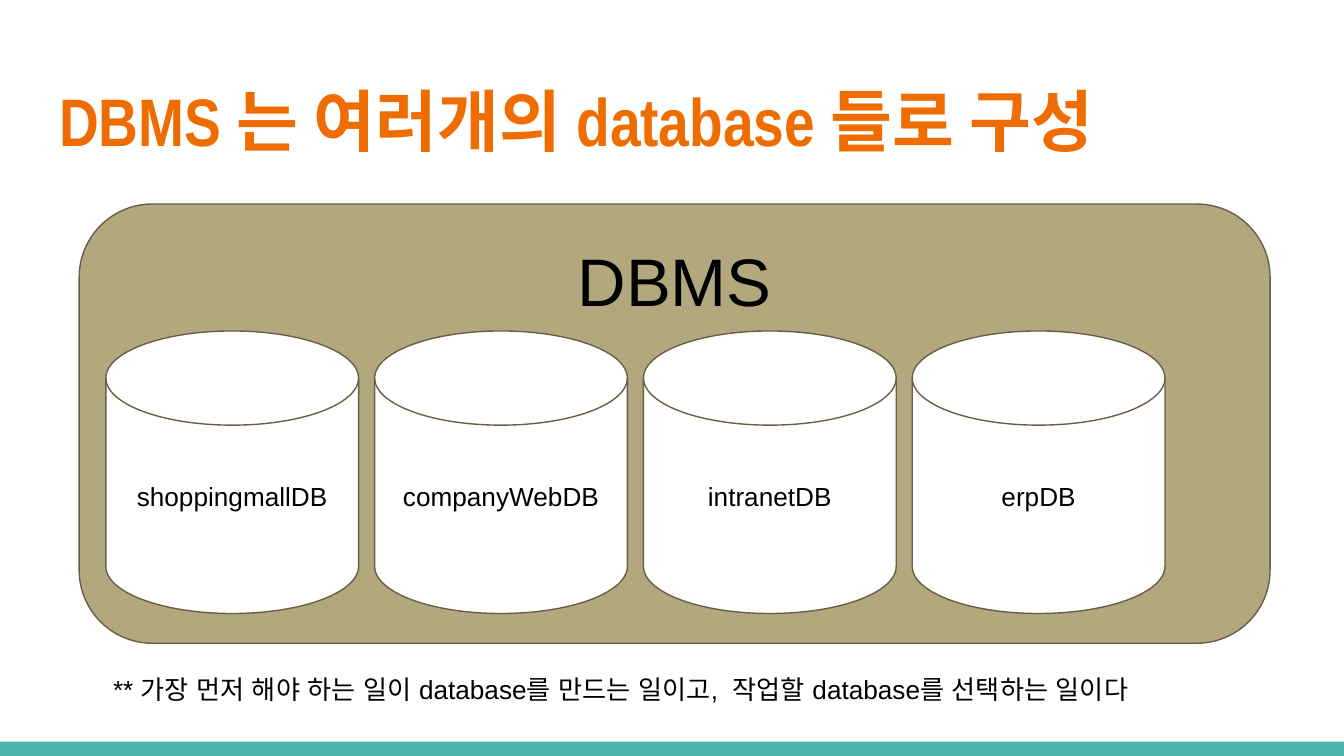
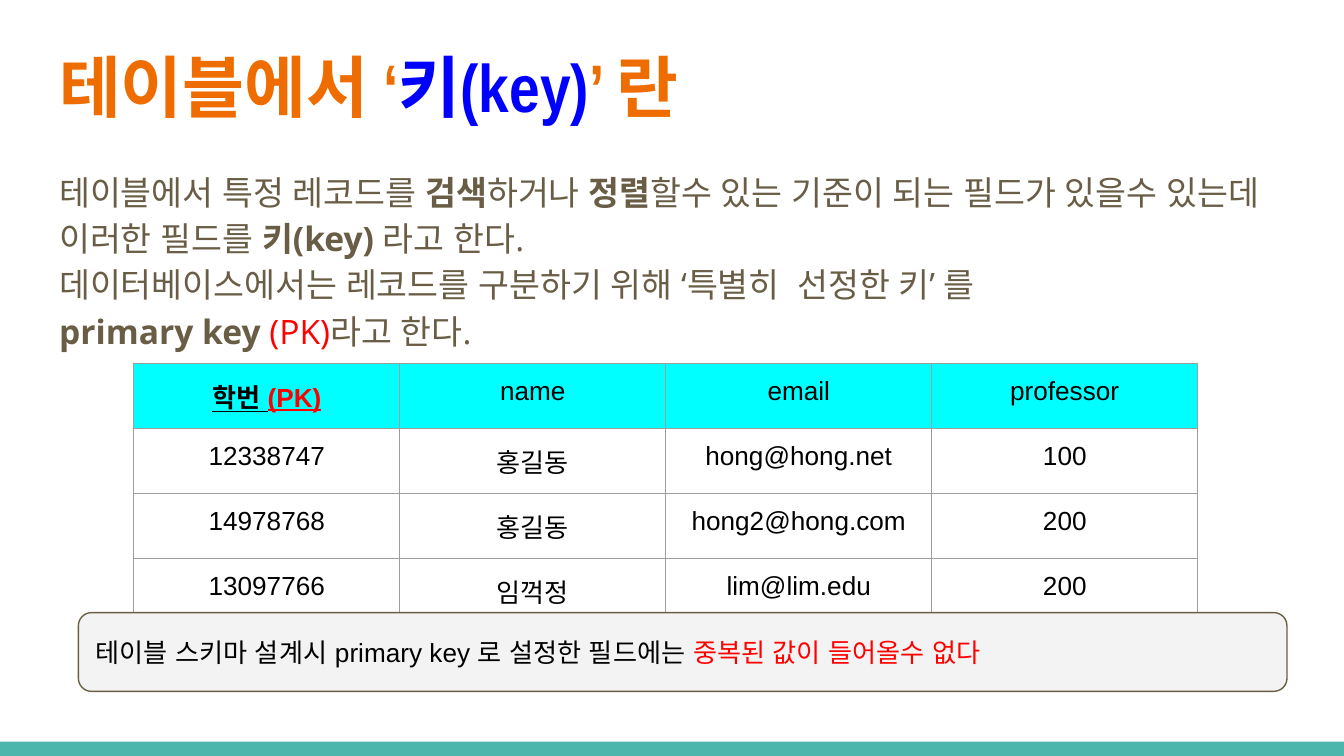
from lxml.etree import SubElement
from pptx import Presentation
from pptx.dml.color import RGBColor
from pptx.enum.shapes import MSO_SHAPE
from pptx.enum.text import MSO_ANCHOR, MSO_AUTO_SIZE, PP_ALIGN
from pptx.oxml.ns import qn
from pptx.util import Pt

# Shared look
ORANGE, BLUE, RED, BROWN = "EF6C00", "0000FF", "FF0000", "695D46"
BLACK, WHITE, TEAL, KHAKI = "000000", "FFFFFF", "4DB6AC", "B3A77D"
PALE, CYAN, GREY = "F3F3F3", "00FFFF", "9E9E9E"
SLIDE_W, SLIDE_H, BAND_H = 720, 405, 7.7
LEFT, CONTENT_W, TITLE_H, INSET = 24.5, 671, 55.4, 7.2

# Content: a text is a list of (words, run format) pairs
BOLD = {"bold": True}
DBMS_TITLE = [("DBMS 는 여러개의 database 들로 구성", {})]
DATABASES = ["shoppingmallDB", "companyWebDB", "intranetDB", "erpDB"]
DBMS_NOTE = "** 가장 먼저 해야 하는 일이 database를 만드는 일이고,  작업할 database를 선택하는 일이다"

KEY_TITLE = [("테이블에서 ‘", {}), ("키(key)", {"color": BLUE}), ("’ 란", {})]
KEY_BODY = [
    ("테이블에서 특정 레코드를 ", {}), ("검색", BOLD), ("하거나 ", {}), ("정렬", BOLD),
    ("할수 있는 기준이 되는 필드가 있을수 있는데 이러한 필드를 ", {}), ("키(key)", BOLD),
    (" 라고 한다.\n데이터베이스에서는 레코드를 구분하기 위해 ‘특별히  선정한 키’ 를\n", {}),
    ("primary key ", BOLD), ("(PK)", {"color": RED}), ("라고 한다.", {}),
]
PK = {"bold": True, "underline": True}
STUDENTS = [
    [[("학번 ", PK), ("(PK)", {**PK, "color": RED})], "name", "email", "professor"],
    ["12338747", "홍길동", "hong@hong.net", "100"],
    ["14978768", "홍길동", "hong2@hong.com", "200"],
    ["13097766", "임꺽정", "lim@lim.edu", "200"],
]
KEY_NOTE = [("테이블 스키마 설계시 primary key 로 설정한 필드에는 ", {}),
            ("중복된 값이 들어올수 없다", {"color": RED})]


def rgb(value):
    return RGBColor.from_string(value)


def write(frame, text, size=14, font="Arial", color=BLACK, bold=False,
          align=PP_ALIGN.LEFT, anchor=MSO_ANCHOR.TOP, east_asian=True):
    """Fill a text frame with a string or a list of formatted runs."""
    frame.word_wrap = True
    frame.vertical_anchor = anchor
    frame.margin_left = frame.margin_right = Pt(INSET)
    frame.margin_top = frame.margin_bottom = Pt(INSET)
    paragraph = frame.paragraphs[0]
    paragraph.alignment = align
    for words, style in [(text, {})] if isinstance(text, str) else text:
        for number, line in enumerate(words.split("\n")):
            if number:
                paragraph.add_line_break()
            if not line:
                continue
            run = paragraph.add_run()
            run.text = line
            run.font.name = font
            props = run._r.get_or_add_rPr()
            props.set("lang", "ko")
            if east_asian:
                SubElement(props, qn("a:ea"), typeface=font)
            run.font.size = Pt(size)
            run.font.bold = style.get("bold", bold)
            run.font.underline = style.get("underline", False)
            run.font.color.rgb = rgb(style.get("color", color))
    return paragraph


def place(shape, left, top, width, height):
    shape.left, shape.top = Pt(left), Pt(top)
    shape.width, shape.height = Pt(width), Pt(height)


def add_box(slide, kind, box, fill, line=BROWN):
    shape = slide.shapes.add_shape(kind, *map(Pt, box))
    shape.shadow.inherit = False
    shape.fill.solid()
    shape.fill.fore_color.rgb = rgb(fill)
    if line:
        shape.line.color.rgb = rgb(line)
        shape.line.width = Pt(0.75)
    else:
        shape.line.fill.background()
    return shape


def add_slide(prs, layout, title, top):
    slide = prs.slides.add_slide(prs.slide_layouts[layout])
    place(slide.shapes.title, LEFT, top, CONTENT_W, TITLE_H)
    frame = slide.shapes.title.text_frame
    write(frame, title, size=36, font="Arial Narrow", color=ORANGE, bold=True)
    frame.auto_size = MSO_AUTO_SIZE.NONE
    return slide


def add_master_band(prs, slide):
    """Put the bottom band on the master, behind everything."""
    band = add_box(slide, MSO_SHAPE.RECTANGLE,
                   (0, SLIDE_H - BAND_H, SLIDE_W, BAND_H), TEAL, line=None)
    band.element.nvSpPr.cNvPr.set("id", "20")
    prs.slide_master.element.cSld.spTree.insert(2, band.element)


def border_cell(cell):
    props = cell._tc.get_or_add_tcPr()
    for position, side in enumerate(("a:lnL", "a:lnR", "a:lnT", "a:lnB")):
        line = SubElement(props, qn(side), w=str(Pt(0.75)))
        SubElement(SubElement(line, qn("a:solidFill")), qn("a:srgbClr"), val=GREY)
        props.insert(position, line)


def build_dbms(prs):
    slide = add_slide(prs, 5, DBMS_TITLE, 35.5)
    add_master_band(prs, slide)

    # Server with its databases side by side
    server = add_box(slide, MSO_SHAPE.ROUNDED_RECTANGLE, (42.4, 109.3, 638, 235.3), KHAKI)
    write(server.text_frame, "DBMS", size=36, align=PP_ALIGN.CENTER)
    for index, database in enumerate(DATABASES):
        disk = add_box(slide, MSO_SHAPE.FLOWCHART_MAGNETIC_DISK,
                       (56.7 + 144 * index, 177.3, 135.4, 151.4), WHITE)
        write(disk.text_frame, database, align=PP_ALIGN.CENTER, anchor=MSO_ANCHOR.MIDDLE)

    note = slide.shapes.add_textbox(Pt(53.5), Pt(353.5), Pt(626), Pt(28))
    write(note.text_frame, DBMS_NOTE)


def build_key(prs):
    slide = add_slide(prs, 1, KEY_TITLE, 17)

    # Definition
    body = slide.placeholders[1]
    place(body, LEFT, 81.4, CONTENT_W, 90)
    paragraph = write(body.text_frame, KEY_BODY, size=18, font="Open Sans", color=BROWN)
    body.text_frame.auto_size = MSO_AUTO_SIZE.NONE
    paragraph.line_spacing = 1.15
    paragraph.space_before, paragraph.space_after = Pt(0), Pt(16)
    props = paragraph._p.get_or_add_pPr()
    props.set("marL", "0")
    props.set("indent", "0")
    SubElement(props, qn("a:buNone"))

    # Student table
    rows, columns = len(STUDENTS), len(STUDENTS[0])
    table = slide.shapes.add_table(rows, columns, Pt(71.7), Pt(194.6),
                                   Pt(142.5 * columns), Pt(34.8 * rows)).table
    table.first_row = table.horz_banding = False
    for r, student in enumerate(STUDENTS):
        for c, value in enumerate(student):
            cell = table.cell(r, c)
            write(cell.text_frame, value, align=PP_ALIGN.CENTER, east_asian=False)
            cell.margin_left = cell.margin_right = Pt(INSET)
            cell.margin_top = cell.margin_bottom = Pt(INSET)
            if r == 0:
                cell.fill.solid()
                cell.fill.fore_color.rgb = rgb(CYAN)
            else:
                cell.fill.background()
            border_cell(cell)

    # Rule for the key
    note = add_box(slide, MSO_SHAPE.ROUNDED_RECTANGLE, (42, 328.2, 647.5, 42.2), PALE)
    write(note.text_frame, KEY_NOTE, anchor=MSO_ANCHOR.MIDDLE)


def main():
    prs = Presentation()
    prs.slide_width, prs.slide_height = Pt(SLIDE_W), Pt(SLIDE_H)
    build_dbms(prs)
    build_key(prs)
    prs.save("out.pptx")


if __name__ == "__main__":
    main()
